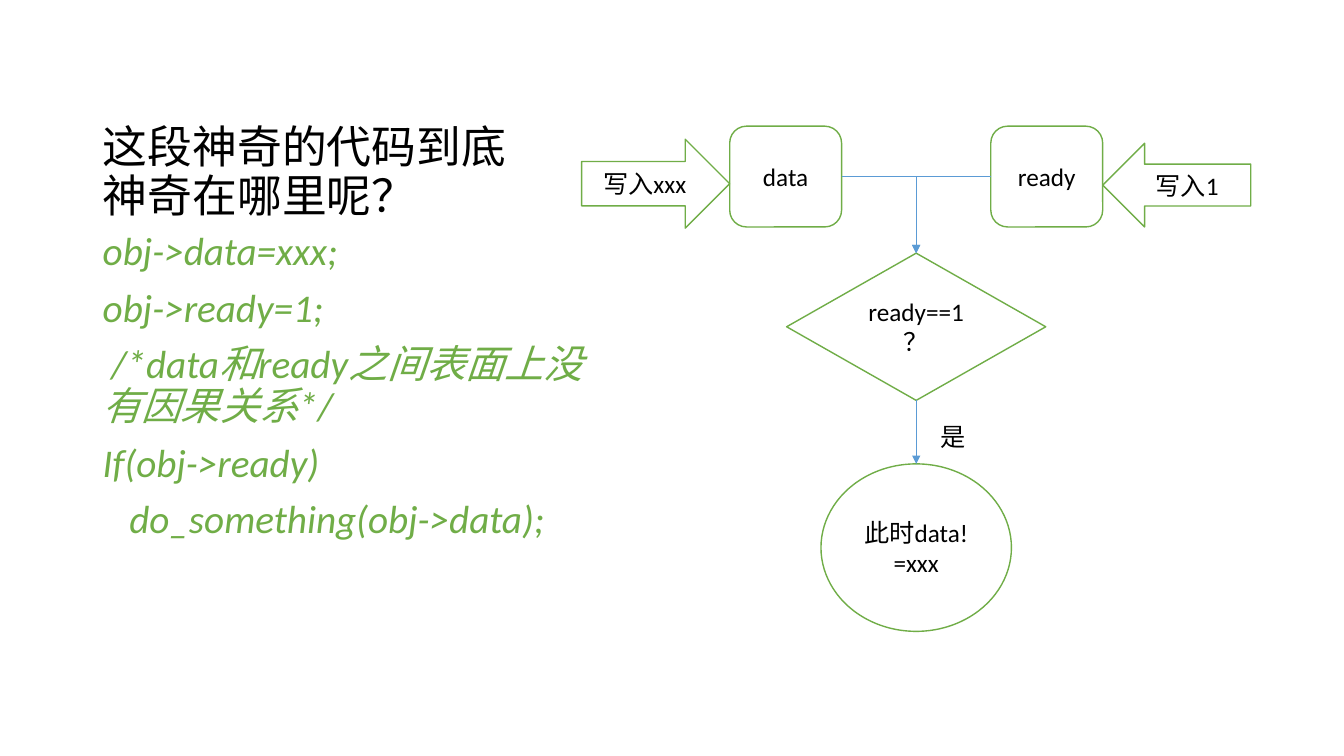
import pptx
import pptx.dml.color
import pptx.enum.shapes
import pptx.enum.text
import pptx.oxml.ns
import pptx.util
from lxml import etree

Cm, Pt = pptx.util.Cm, pptx.util.Pt
SHAPE = pptx.enum.shapes.MSO_SHAPE
LINK = pptx.enum.shapes.MSO_CONNECTOR
ANCHOR = pptx.enum.text.MSO_ANCHOR
ALIGN = pptx.enum.text.PP_ALIGN
qn = pptx.oxml.ns.qn

GREEN, BLUE, BLACK, WHITE = "70AD47", "5B9BD5", "000000", "FFFFFF"


def rgb(code):
    """Turn a hex string into a colour."""
    return pptx.dml.color.RGBColor.from_string(code)


def write(tf, lines, size=18, color=BLACK, italic=False, align=ALIGN.LEFT,
          anchor=ANCHOR.TOP, spacing=None, before=0, wrap=True):
    """Fill a text frame with (text, first-line indent in cm) paragraphs."""
    tf.auto_size = pptx.enum.text.MSO_AUTO_SIZE.NONE
    tf.word_wrap = wrap
    tf.vertical_anchor = anchor
    for i, (text, indent) in enumerate(lines):
        p = tf.add_paragraph() if i else tf.paragraphs[0]
        p.alignment = align
        p.line_spacing = spacing
        p.space_before = Pt(before)
        if indent:
            p._p.get_or_add_pPr().set("indent", str(Cm(indent)))
        r = p.add_run()
        r.text = text
        r.font.name = "Calibri"
        r.font.size = Pt(size)
        r.font.italic = italic
        r.font.color.rgb = rgb(color)


def add_node(slide, kind, text, x, y, w, h):
    """Add one outlined flowchart shape with centred text."""
    sp = slide.shapes.add_shape(kind, Cm(x), Cm(y), Cm(w), Cm(h))
    sp.shadow.inherit = False
    sp.fill.solid()
    sp.fill.fore_color.rgb = rgb(WHITE)
    sp.line.color.rgb = rgb(GREEN)
    sp.line.width = Pt(1)
    write(sp.text_frame, [(text, 0)], align=ALIGN.CENTER, anchor=ANCHOR.MIDDLE)


def add_arrow(slide, x1, y1, x2, y2):
    """Add an arrow, turning one corner when its ends are not aligned."""
    kind = LINK.STRAIGHT if x1 == x2 else LINK.ELBOW
    cxn = slide.shapes.add_connector(kind, Cm(x1), Cm(y1), Cm(x2), Cm(y2))
    cxn.line.color.rgb = rgb(BLUE)
    cxn.line.width = Pt(0.5)
    spPr = cxn._element.spPr
    if kind == LINK.ELBOW:
        spPr.find(qn("a:prstGeom")).set("prst", "bentConnector2")
    etree.SubElement(spPr.find(qn("a:ln")), qn("a:tailEnd"), type="triangle")
    etree.SubElement(spPr, qn("a:effectLst"))


def add_title(slide, x, y, w, h):
    """Place and format the title placeholder."""
    sp = slide.shapes.title
    sp.left, sp.top, sp.width, sp.height = Cm(x), Cm(y), Cm(w), Cm(h)
    write(sp.text_frame, [("这段神奇的代码到底神奇在哪里呢？", 0)], size=32,
          anchor=ANCHOR.BOTTOM, spacing=0.9)


def add_code(slide, x, y, w, h):
    """Add the code listing."""
    sp = slide.shapes.add_textbox(Cm(x), Cm(y), Cm(w), Cm(h))
    lines = [("obj->data=xxx;", 0),
             ("obj->ready=1;", 0),
             ("/*data和ready之间表面上没有因果关系*/", 0.22),
             ("If(obj->ready)", 0),
             ("do_something(obj->data);", 0.67)]
    write(sp.text_frame, lines, size=28, color=GREEN, italic=True,
          spacing=0.9, before=10)


def add_flow(slide, x, y, w):
    """Add the flowchart: two written fields, the test and its outcome."""
    mid = x + w / 2
    arrow_w, field_w, field_h = 3.73, 2.82, 2.54
    data_x, ready_x = x + arrow_w, x + w - arrow_w - field_w
    test_y, test_w, test_h = y + 3.2, 6.53, 3.71
    end_y, end_w, end_h = y + 8.51, 4.8, 4.22

    add_node(slide, SHAPE.ROUNDED_RECTANGLE, "data", data_x, y, field_w, field_h)
    add_node(slide, SHAPE.ROUNDED_RECTANGLE, "ready", ready_x, y, field_w, field_h)
    add_node(slide, SHAPE.RIGHT_ARROW, "写入xxx", x, y + 0.33, arrow_w, 2.24)
    add_node(slide, SHAPE.LEFT_ARROW, "写入1", x + w - arrow_w, y + 0.43, arrow_w, 2.11)
    add_node(slide, SHAPE.FLOWCHART_DECISION, "ready==1？",
             mid - test_w / 2, test_y, test_w, test_h)
    add_node(slide, SHAPE.FLOWCHART_CONNECTOR, "此时data!=xxx",
             mid - end_w / 2, end_y, end_w, end_h)

    for start in (data_x + field_w, ready_x):
        add_arrow(slide, start, y + field_h / 2, mid, test_y)
    add_arrow(slide, mid, test_y + test_h, mid, end_y)
    yes = slide.shapes.add_textbox(Cm(mid + 0.36), Cm(y + 7.32), Cm(1.14), Cm(1.02))
    write(yes.text_frame, [("是", 0)], wrap=False)


prs = pptx.Presentation()
prs.slide_width, prs.slide_height = Cm(33.87), Cm(19.05)
slide = prs.slides.add_slide(prs.slide_layouts[5])
add_title(slide, 2.34, 1.27, 10.92, 4.45)
add_code(slide, 2.34, 5.72, 12.8, 10.59)
add_flow(slide, 14.66, 3.18, 16.86)
prs.save("out.pptx")
